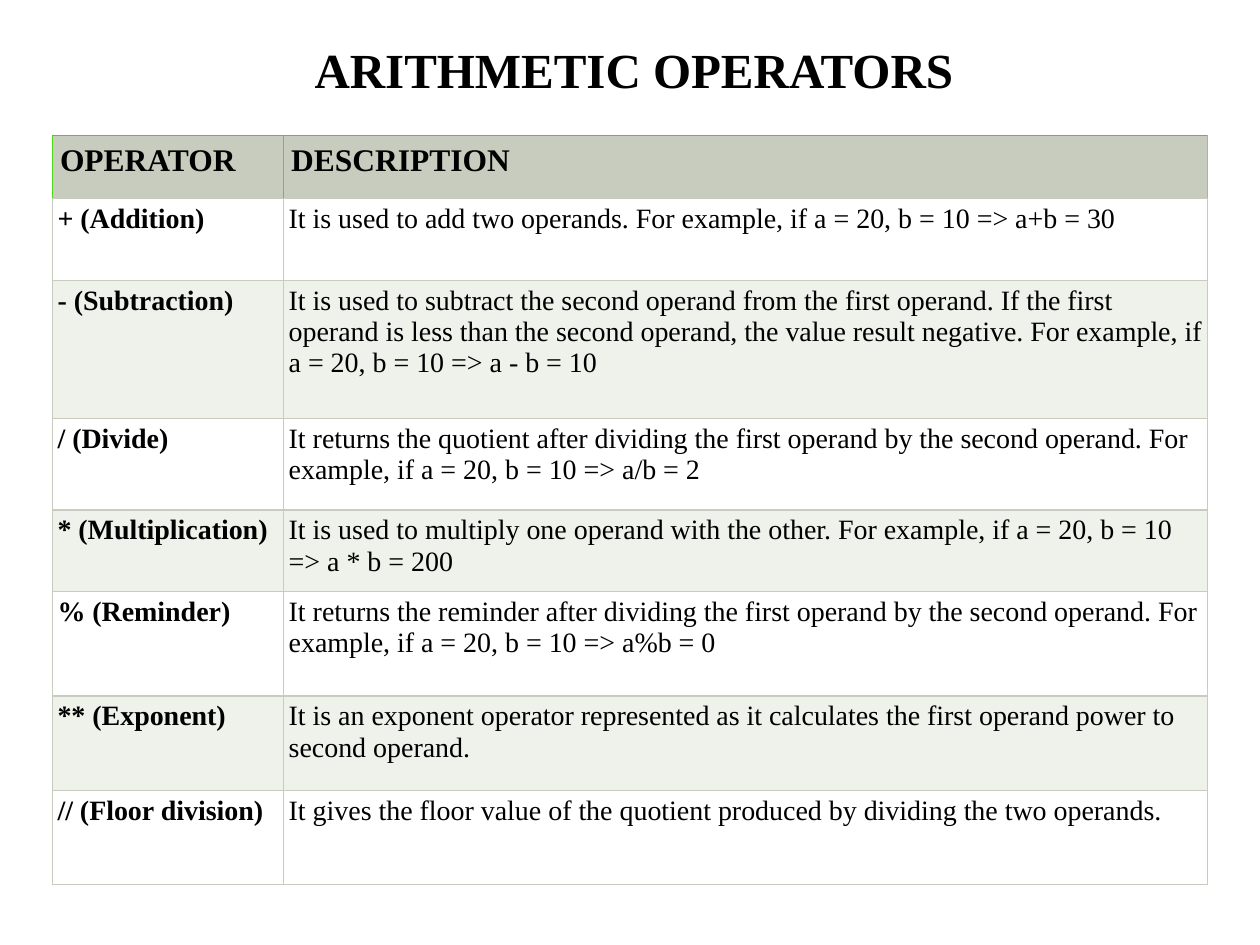
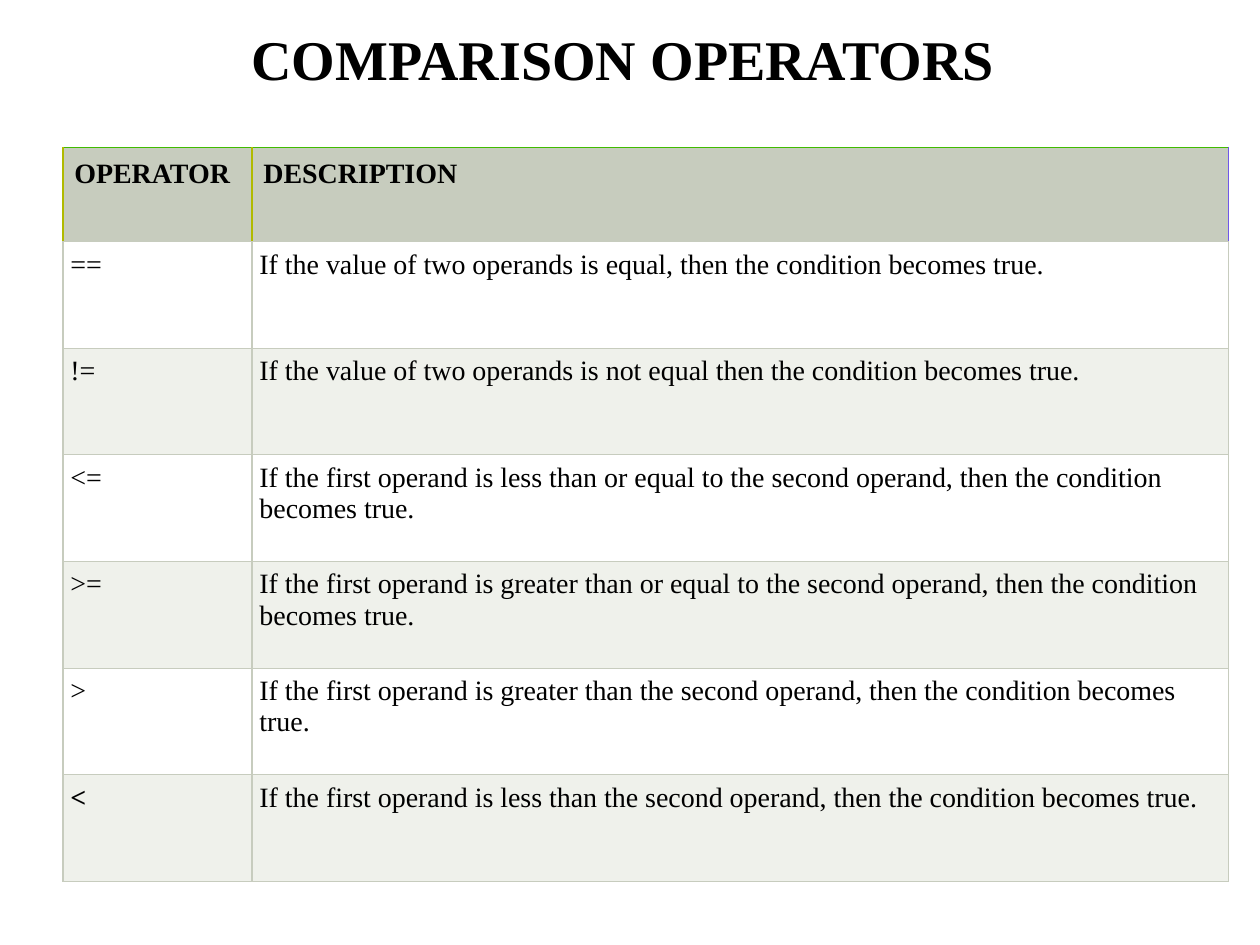
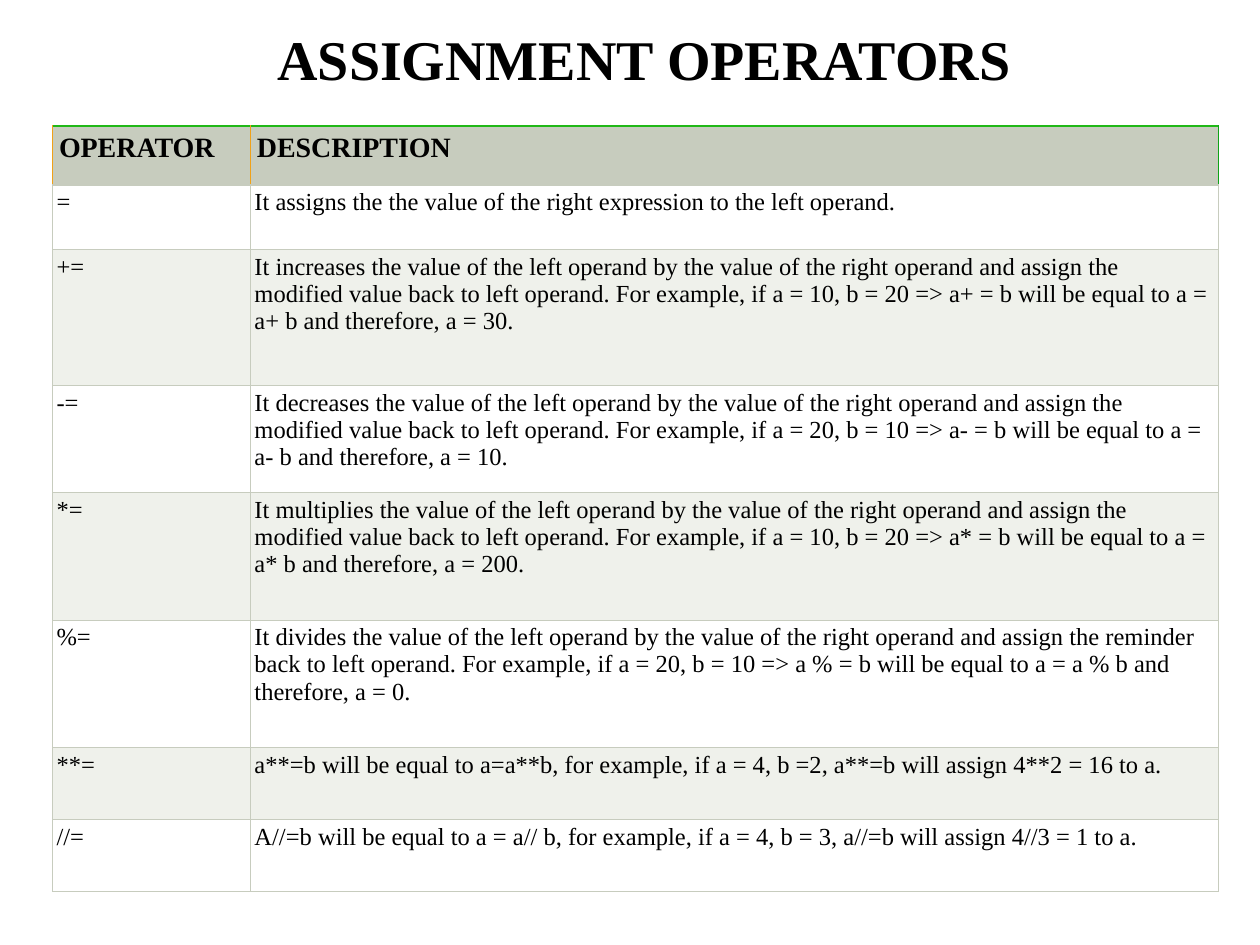
import dataclasses

import lxml.etree
import pptx
import pptx.dml.color
import pptx.enum.text
import pptx.oxml.ns
import pptx.slide
import pptx.table
import pptx.util

Cm = pptx.util.Cm
Pt = pptx.util.Pt


@dataclasses.dataclass(frozen=True)
class Theme:
    font: str = "Times New Roman"
    ink: str = "000000"
    head: str = "C7CCBE"
    rule: str = "C7CCBE"
    bands: tuple[str, str] = ("FFFFFF", "EFF1EB")
    line: float = 0.75
    large: int = 32
    title: int = 28
    label: int = 18
    body: int = 16
    small: int = 14


THEME = Theme()


@dataclasses.dataclass(frozen=True)
class Entry:
    sign: str
    note: str
    height: float
    bold: bool = False


@dataclasses.dataclass(frozen=True)
class Edges:
    """Header line colours: left and inner, top, right."""
    side: str
    top: str
    right: str


@dataclasses.dataclass(frozen=True)
class Page:
    title: str
    title_at: tuple[float, float]
    title_size: int
    table_at: tuple[float, float]
    widths: tuple[float, float]
    head_height: float
    head_size: int
    head_inset: float
    body_size: int
    inset: float
    edges: Edges
    entries: list[Entry]


PAGES = [
    Page(
        "ARITHMETIC OPERATORS ", (1.47, -0.2), THEME.title,
        (1.06, 2.74), (4.66, 18.63), 1.27, THEME.label, 0.15, THEME.body, 0.1,
        Edges("50D918", "40D518", "90DB18"),
        [
            Entry("+ (Addition)", "It is used to add two operands. For example, "
                  "if a = 20, b = 10 => a+b = 30", 1.65, True),
            Entry("- (Subtraction)", "It is used to subtract the second operand from "
                  "the first operand. If the first operand is less than the second "
                  "operand, the value result negative. For example, "
                  "if a = 20, b = 10 => a - b = 10", 2.77, True),
            Entry("/ (Divide)", "It returns the quotient after dividing the first "
                  "operand by the second operand. For example, "
                  "if a = 20, b = 10 => a/b = 2", 1.85, True),
            Entry("* (Multiplication)", "It is used to multiply one operand with the "
                  "other. For example, if a = 20, b = 10 => a * b = 200", 1.65, True),
            Entry("% (Reminder)", "It returns the reminder after dividing the first "
                  "operand by the second operand. For example, "
                  "if a = 20, b = 10 => a%b = 0", 2.1, True),
            Entry("** (Exponent)", "It is an exponent operator represented as it "
                  "calculates the first operand power to second operand.", 1.9, True),
            Entry("// (Floor division)", "It gives the floor value of the quotient "
                  "produced by dividing the two operands.", 1.9, True),
        ],
    ),
    Page(
        "COMPARISON OPERATORS ", (1.27, -0.42), THEME.large,
        (1.27, 2.97), (3.81, 19.69), 1.9, THEME.body, 0.23, THEME.body, 0.15,
        Edges("B0BA00", "40BB00", "7058E9"),
        [
            Entry("==", "If the value of two operands is equal, then the condition "
                  "becomes true.", 2.15),
            Entry("!=", "If the value of two operands is not equal then the condition "
                  "becomes true.", 2.15),
            Entry("<=", "If the first operand is less than or equal to the second "
                  "operand, then the condition becomes true.", 2.15),
            Entry(">=", "If the first operand is greater than or equal to the second "
                  "operand, then the condition becomes true.", 2.15),
            Entry(">", "If the first operand is greater than the second operand, then "
                  "the condition becomes true.", 2.15),
            Entry("<", "If the first operand is less than the second operand, then "
                  "the condition becomes true.", 2.15, True),
        ],
    ),
    Page(
        "ASSIGNMENT OPERATORS ", (1.7, -0.42), THEME.large,
        (1.06, 2.54), (3.99, 19.51), 1.19, THEME.body, 0.13, THEME.small, 0.08,
        Edges("F0A118", "20B817", "10A318"),
        [
            Entry("=", "It assigns the the value of the right expression to the left "
                  "operand.", 1.3),
            Entry("+=", "It increases the value of the left operand by the value of "
                  "the right operand and assign the modified value back to left "
                  "operand. For example, if a = 10, b = 20 => a+ = b will be equal to "
                  "a = a+ b and therefore, a = 30.", 2.74),
            Entry("-=", "It decreases the value of the left operand by the value of "
                  "the right operand and assign the modified value back to left "
                  "operand. For example, if a = 20, b = 10 => a- = b will be equal to "
                  "a = a- b and therefore, a = 10.", 2.16),
            Entry("*=", "It multiplies the value of the left operand by the value of "
                  "the right operand and assign the modified value back to left "
                  "operand. For example, if a = 10, b = 20 => a* = b will be equal to "
                  "a = a* b and therefore, a = 200.", 2.57),
            Entry("%=", "It divides the value of the left operand by the value of the "
                  "right operand and assign the reminder back to left operand. For "
                  "example, if a = 20, b = 10 => a % = b will be equal to a = a % b "
                  "and therefore, a = 0.", 2.57),
            Entry("**=", "a**=b will be equal to a=a**b, for example, if a = 4, b =2, "
                  "a**=b will assign 4**2 = 16 to a.", 1.45),
            Entry("//=", "A//=b will be equal to a = a// b, for example, if a = 4, "
                  "b = 3, a//=b will assign 4//3 = 1 to a.", 1.45),
        ],
    ),
]


def paint(hue: str) -> pptx.dml.color.RGBColor:
    return pptx.dml.color.RGBColor.from_string(hue)


def write(frame, text: str, size: int, bold: bool) -> None:
    run = frame.paragraphs[0].add_run()
    run.text = text
    run.font.name = THEME.font
    run.font.size = Pt(size)
    run.font.bold = bold
    run.font.color.rgb = paint(THEME.ink)


def border(cell: pptx.table._Cell, hues: tuple[str, str, str, str]) -> None:
    """Rule the cell's left, right, top and bottom sides."""
    qn = pptx.oxml.ns.qn
    props = cell._tc.get_or_add_tcPr()
    for side, hue in zip("LRTB", hues):
        line = lxml.etree.SubElement(props, qn(f"a:ln{side}"), w=str(Pt(THEME.line)))
        fill = lxml.etree.SubElement(line, qn("a:solidFill"))
        lxml.etree.SubElement(fill, qn("a:srgbClr"), val=hue)


def fill_cell(cell: pptx.table._Cell, text: str, size: int, bold: bool, inset: float,
              back: str, hues: tuple[str, str, str, str]) -> None:
    cell.margin_left = cell.margin_right = Cm(inset)
    cell.margin_top = cell.margin_bottom = Cm(inset)
    border(cell, hues)
    cell.fill.solid()
    cell.fill.fore_color.rgb = paint(back)
    write(cell.text_frame, text, size, bold)


def draw_title(slide: pptx.slide.Slide, page: Page) -> None:
    title = slide.shapes.title
    title.left, title.top = map(Cm, page.title_at)
    title.width, title.height = Cm(22.86), Cm(3.18)
    frame = title.text_frame
    frame.vertical_anchor = pptx.enum.text.MSO_ANCHOR.MIDDLE
    frame.paragraphs[0].alignment = pptx.enum.text.PP_ALIGN.CENTER
    write(frame, page.title, page.title_size, True)


def draw_table(slide: pptx.slide.Slide, page: Page) -> None:
    heights = [page.head_height] + [entry.height for entry in page.entries]
    left, top = map(Cm, page.table_at)
    table = slide.shapes.add_table(len(heights), 2, left, top,
                                   Cm(sum(page.widths)), Cm(sum(heights))).table
    table.first_row = table.horz_banding = False
    for col, width in zip(table.columns, page.widths):
        col.width = Cm(width)
    for row, height in zip(table.rows, heights):
        row.height = Cm(height)

    # Header row
    edges = page.edges
    heads = (("OPERATOR", edges.side), ("DESCRIPTION", edges.right))
    for col, (text, right) in enumerate(heads):
        fill_cell(table.cell(0, col), text, page.head_size, True, page.head_inset,
                  THEME.head, (edges.side, right, edges.top, THEME.rule))

    # Banded rows
    rules = (THEME.rule,) * 4
    for num, entry in enumerate(page.entries):
        back = THEME.bands[num % 2]
        for col, (text, bold) in enumerate(((entry.sign, entry.bold),
                                            (entry.note, False))):
            fill_cell(table.cell(num + 1, col), text, page.body_size, bold,
                      page.inset, back, rules)


def main() -> None:
    deck = pptx.Presentation()
    deck.slide_width, deck.slide_height = Cm(25.4), Cm(19.05)
    layout = deck.slide_layouts.get_by_name("Title Only")
    for page in PAGES:
        slide = deck.slides.add_slide(layout)
        draw_title(slide, page)
        draw_table(slide, page)
    deck.save("out.pptx")


if __name__ == "__main__":
    main()
